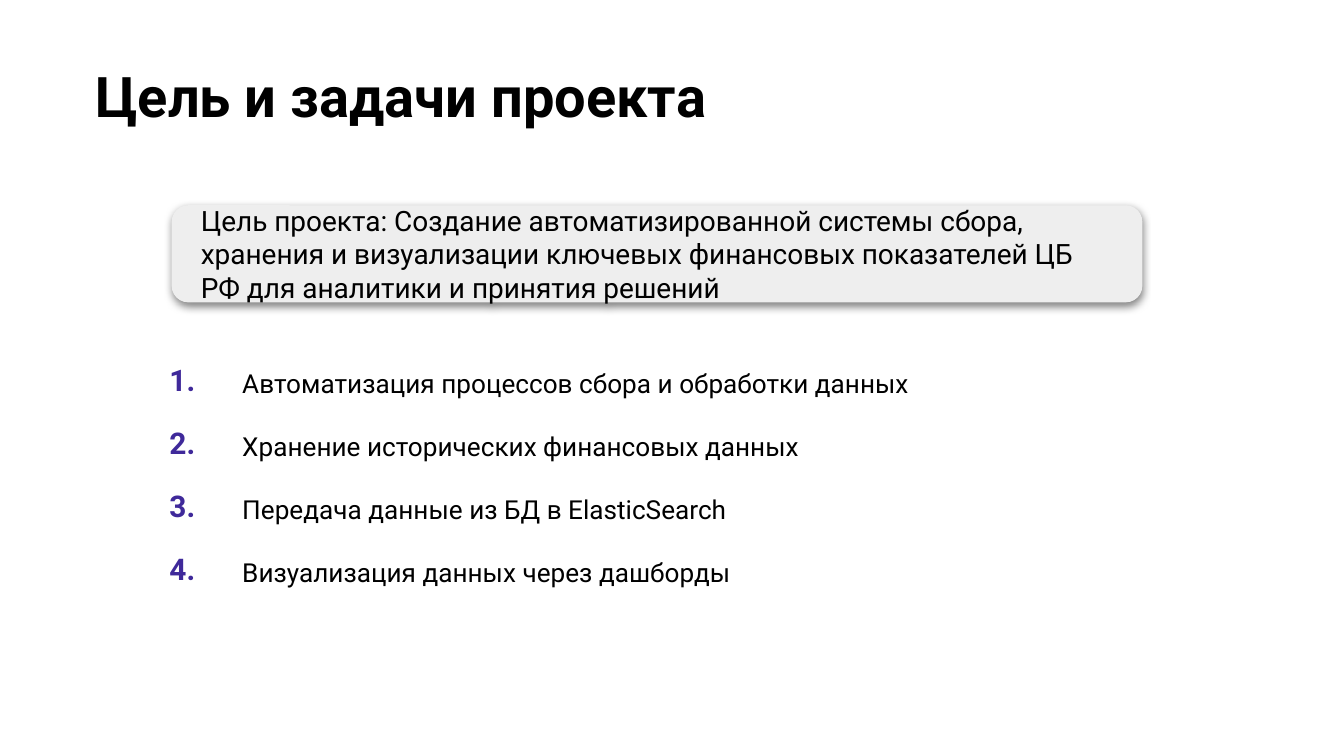
from lxml import etree
from pptx import Presentation
from pptx.dml.color import RGBColor as Rgb
from pptx.enum.shapes import MSO_SHAPE as Form
from pptx.enum.text import MSO_ANCHOR as Anchor, PP_ALIGN as Align
from pptx.oxml.ns import qn
from pptx.util import Pt

FONT = "Roboto"
HUE = {"text": "000000", "num": "3F299A", "card": "EEEEEE", "shade": "000000"}

TITLE = "Цель и задачи проекта"
GOAL = ("Цель проекта: Создание автоматизированной системы сбора, "
        "хранения и визуализации ключевых финансовых показателей ЦБ РФ "
        "для аналитики и принятия решений")
TASKS = [
    "Автоматизация процессов сбора и обработки данных",
    "Хранение исторических финансовых данных",
    "Передача данные из БД в ElasticSearch",
    "Визуализация данных через дашборды",
]


def add_run(para, text, size, hue="text", bold=False):
    run = para.add_run()
    run.text = text
    font = run.font
    font.name, font.size, font.bold = FONT, Pt(size), bold
    font.color.rgb = Rgb.from_string(HUE[hue])


def set_pad(item, left, right=7.2):
    item.margin_left, item.margin_right = Pt(left), Pt(right)
    item.margin_top = item.margin_bottom = Pt(7.2)


def add_title(slide, box, text):
    frame = slide.shapes.add_textbox(*map(Pt, box)).text_frame
    frame.word_wrap = True
    set_pad(frame, 7.2)
    add_run(frame.paragraphs[0], text, 30, bold=True)


def add_shade(shape):
    # Soft shadow straight below the shape
    shape.shadow.inherit = False
    effects = shape._element.spPr.find(qn("a:effectLst"))
    shade = etree.SubElement(
        effects, qn("a:outerShdw"), blurRad=str(Pt(4.5)), dist=str(Pt(1.5)),
        dir=str(90 * 60000), algn="bl", rotWithShape="0")
    color = etree.SubElement(shade, qn("a:srgbClr"), val=HUE["shade"])
    etree.SubElement(color, qn("a:alpha"), val="50000")


def add_card(slide, box, text):
    card = slide.shapes.add_shape(Form.ROUNDED_RECTANGLE, *map(Pt, box))
    card.adjustments[0] = 0.17
    card.fill.solid()
    card.fill.fore_color.rgb = Rgb.from_string(HUE["card"])
    card.line.fill.background()
    add_shade(card)
    frame = card.text_frame
    frame.word_wrap = True
    frame.vertical_anchor = Anchor.MIDDLE
    set_pad(frame, 13, 13)
    para = frame.paragraphs[0]
    para.alignment = Align.LEFT
    add_run(para, text, 15)


def add_list(slide, left, top, widths, row, tasks):
    table = slide.shapes.add_table(
        len(tasks), len(widths), Pt(left), Pt(top),
        Pt(sum(widths)), Pt(row * len(tasks))).table
    table.first_row = table.horz_banding = False
    for col, width in zip(table.columns, widths):
        col.width = Pt(width)
    for num, (line, task) in enumerate(zip(table.rows, tasks), 1):
        line.height = Pt(row)
        for cell in line.cells:
            cell.fill.background()
            set_pad(cell, 15.8)
        mark, body = (cell.text_frame.paragraphs[0] for cell in line.cells)
        add_run(mark, f"{num}.", 16, "num", True)
        body.line_spacing = 1.15
        add_run(body, task, 14)


def main():
    prs = Presentation()
    prs.slide_width, prs.slide_height = Pt(720), Pt(405)
    slide = prs.slides.add_slide(prs.slide_layouts[6])

    # Heading
    add_title(slide, (44, 26, 671, 103), TITLE)
    # Numbered tasks
    add_list(slide, 75, 188, (39, 531), 33.4, TASKS)
    # Project goal
    add_card(slide, (92, 110, 520, 52), GOAL)

    prs.save("out.pptx")


if __name__ == "__main__":
    main()
